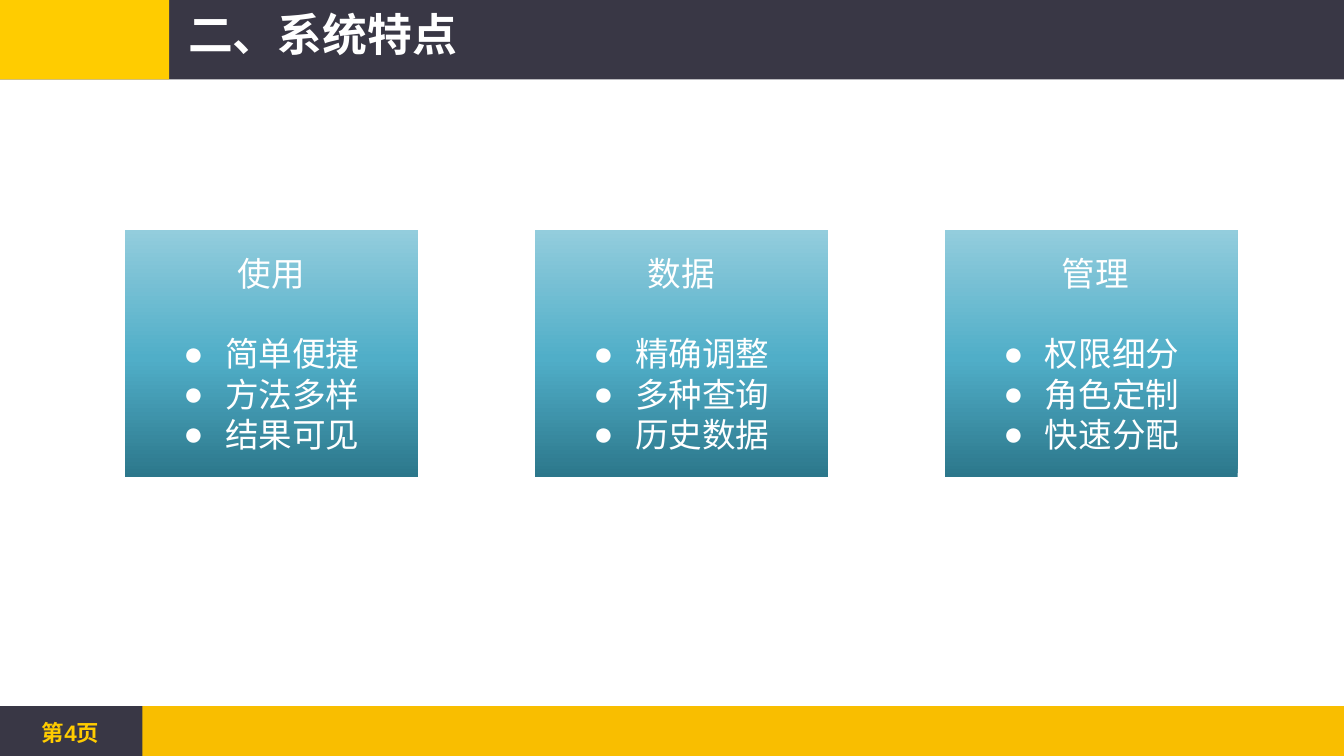
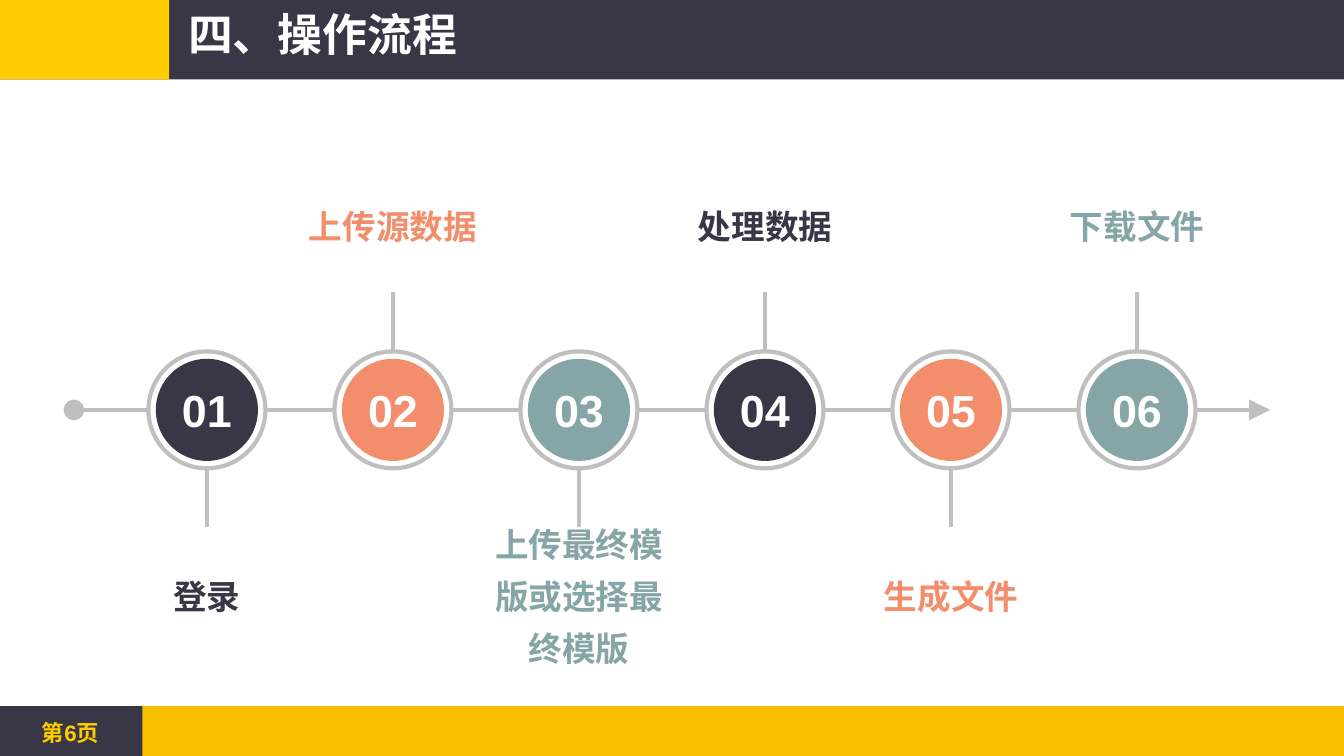
from dataclasses import dataclass

from copy import deepcopy
from lxml.etree import SubElement
from pptx import Presentation
from pptx.dml.color import RGBColor
from pptx.enum.shapes import MSO_CONNECTOR, MSO_SHAPE
from pptx.enum.text import MSO_ANCHOR, MSO_AUTO_SIZE, PP_ALIGN
from pptx.oxml.ns import qn
from pptx.util import Inches, Pt


@dataclass(frozen=True)
class Theme:
    navy: str = "393745"
    yellow: str = "FFCC00"
    amber: str = "F9BE00"
    coral: str = "F28E6C"
    teal: str = "86A5A7"
    grey: str = "BFBFBF"
    white: str = "FFFFFF"
    card_stops: tuple = ((0, "2C778B"), (0.48, "50AEC8"), (1, "93CDDD"))
    latin: str = "Arial"
    chinese: str = "Noto Sans CJK SC"
    title_size: int = 24
    body_size: int = 18
    footer_size: int = 12
    line_width: float = 2.25


class SlideBuilder:
    WIDTH = 10
    HEIGHT = WIDTH * 9 / 16

    def __init__(self, theme):
        self.theme = theme
        self.page = None
        self.deck = Presentation()
        self.deck.slide_width = Inches(self.WIDTH)
        self.deck.slide_height = Inches(self.HEIGHT)

    def start_page(self, title, number, title_width):
        theme = self.theme
        self.page = self.deck.slides.add_slide(self.deck.slide_layouts[5])
        footer_top = self.HEIGHT - 0.37
        self.shape(MSO_SHAPE.RECTANGLE, 0, 0, self.WIDTH, 0.59, theme.navy)
        self.shape(MSO_SHAPE.RECTANGLE, 0, 0, 1.26, 0.59, theme.yellow)
        self.shape(MSO_SHAPE.RECTANGLE, 0, footer_top, self.WIDTH, 0.37, theme.amber)
        self.shape(MSO_SHAPE.RECTANGLE, 0, footer_top, 1.06, 0.37, theme.navy)
        footer = self.text_box(0.05, 5.3, 0.95, 0.3)
        self.style(footer.paragraphs[0], f"第{number}页", theme.footer_size,
                   theme.yellow, theme.latin, bold=True)
        self.title(title, title_width)

    def title(self, text, width):
        """Fill the title placeholder and bring it in front of the bands."""
        box = self.page.shapes.title
        self.page.shapes._spTree.append(box._element)
        box.left, box.top = Inches(1.3), Inches(0)
        box.width, box.height = Inches(width), Inches(0.47)
        frame = box.text_frame
        frame.word_wrap = True
        frame.auto_size = MSO_AUTO_SIZE.NONE
        frame.vertical_anchor = MSO_ANCHOR.TOP
        self.style(frame.paragraphs[0], text, self.theme.title_size,
                   self.theme.white, bold=True, align=PP_ALIGN.LEFT)

    def style(self, para, text, size, color, name=None, bold=False,
              align=PP_ALIGN.CENTER):
        para.text = text
        para.alignment = align
        font = para.font
        font.size, font.bold = Pt(size), bold
        font.color.rgb = RGBColor.from_string(color)
        font.name = name or self.theme.chinese
        defaults = para._p.pPr.find(qn("a:defRPr"))
        SubElement(defaults, qn("a:ea"), typeface=self.theme.chinese)

    def shape(self, kind, left, top, width, height, fill=None, line=None):
        shape = self.page.shapes.add_shape(
            kind, Inches(left), Inches(top), Inches(width), Inches(height))
        shape.shadow.inherit = False
        if fill:
            shape.fill.solid()
            shape.fill.fore_color.rgb = RGBColor.from_string(fill)
        else:
            shape.fill.background()
        if line:
            shape.line.color.rgb = RGBColor.from_string(line)
            shape.line.width = Pt(self.theme.line_width)
        else:
            shape.line.fill.background()
        return shape

    def text_box(self, left, top, width, height):
        box = self.page.shapes.add_textbox(
            Inches(left), Inches(top), Inches(width), Inches(height))
        box.text_frame.word_wrap = True
        return box.text_frame

    def centre_text(self, frame, text, size, color, name=None):
        """Set one bold paragraph in the middle of a frame without insets."""
        frame.margin_left = frame.margin_right = 0
        frame.margin_top = frame.margin_bottom = 0
        frame.vertical_anchor = MSO_ANCHOR.MIDDLE
        self.style(frame.paragraphs[0], text, size, color, name, bold=True)

    def line(self, x1, y1, x2, y2, **ends):
        """Draw a connector; ends may give headEnd and tailEnd types."""
        line = self.page.shapes.add_connector(
            MSO_CONNECTOR.STRAIGHT, Inches(x1), Inches(y1), Inches(x2), Inches(y2))
        line.line.color.rgb = RGBColor.from_string(self.theme.grey)
        line.line.width = Pt(self.theme.line_width)
        properties = line._element.spPr
        for end, kind in ends.items():
            SubElement(properties.find(qn("a:ln")), qn(f"a:{end}"),
                       type=kind, w="lg", len="lg")
        SubElement(properties, qn("a:effectLst"))

    def gradient(self, shape, stops):
        shape.fill.gradient()
        shape.fill.gradient_angle = 90
        stop_list = shape._element.spPr.find(".//" + qn("a:gsLst"))
        while len(stop_list) < len(stops):
            stop_list.append(deepcopy(stop_list[0]))
        for stop, (position, color) in zip(shape.fill.gradient_stops, stops):
            stop.position = position
            stop.color.rgb = RGBColor.from_string(color)

    def card(self, left, heading, points):
        theme = self.theme
        card = self.shape(MSO_SHAPE.RECTANGLE, left, 1.71, 2.18, 1.84)
        self.gradient(card, theme.card_stops)
        frame = card.text_frame
        frame.word_wrap = True
        frame.vertical_anchor = MSO_ANCHOR.MIDDLE
        para = frame.paragraphs[0]
        para.space_after = Pt(1.2 * theme.body_size)
        self.style(para, heading, theme.body_size, theme.white)
        for point in points:
            para = frame.add_paragraph()
            indent = Inches(0.31)
            properties = para._p.get_or_add_pPr()
            properties.set("marL", str(indent))
            properties.set("indent", str(-indent))
            SubElement(properties, qn("a:buFont"), typeface=theme.latin)
            SubElement(properties, qn("a:buChar"), char="●")
            self.style(para, point, theme.body_size, theme.white)

    def circle(self, x, y, radius, fill=None, line=None):
        return self.shape(MSO_SHAPE.OVAL, x - radius, y - radius,
                          2 * radius, 2 * radius, fill, line)

    def step(self, x, axis, radius, number, label, color, below):
        """Draw a numbered ring with its stem and label."""
        theme = self.theme
        self.circle(x, axis, radius, line=theme.grey)
        disc = self.circle(x, axis, 0.38, fill=color)
        self.centre_text(disc.text_frame, f"{number:02}", theme.title_size,
                         theme.white, theme.latin)
        width = 1.48
        frame = self.text_box(x - width / 2, 3.72 if below else 0.97, width, 1.34)
        frame.paragraphs[0].line_spacing = 1.3
        self.centre_text(frame, label, theme.body_size, color)
        side = 1 if below else -1
        self.line(x, axis + side * radius, x, axis + side * (radius + 0.44))


def build_features(builder):
    builder.start_page("二、系统特点", 4, 5.97)
    cards = (
        ("使用", ("简单便捷", "方法多样", "结果可见")),
        ("数据", ("精确调整", "多种查询", "历史数据")),
        (" 管理", ("权限细分", "角色定制", "快速分配")),
    )
    for index, (heading, points) in enumerate(cards):
        builder.card(0.93 + 3.05 * index, heading, points)


def build_process(builder):
    builder.start_page("四、操作流程", 6, 2.76)
    theme = builder.theme
    labels = ("登录", "上传源数据", "上传最终模版或选择最终模版",
              "处理数据", "生成文件", "下载文件")
    colors = (theme.navy, theme.coral, theme.teal)
    first, last, axis, radius = 1.54, 8.46, 3.05, 0.87 / 2
    pitch = (last - first) / (len(labels) - 1)
    centres = [first + pitch * index for index in range(len(labels))]
    for index, (x, label) in enumerate(zip(centres, labels)):
        builder.step(x, axis, radius, index + 1, label,
                     colors[index % len(colors)], below=index % 2 == 0)
    builder.line(0.55, axis, first - radius, axis, headEnd="oval")
    for x, following in zip(centres, centres[1:]):
        builder.line(x + radius, axis, following - radius, axis)
    builder.line(last + radius, axis, 9.45, axis, tailEnd="triangle")


def main():
    builder = SlideBuilder(Theme())
    build_features(builder)
    build_process(builder)
    builder.deck.save("out.pptx")


if __name__ == "__main__":
    main()
